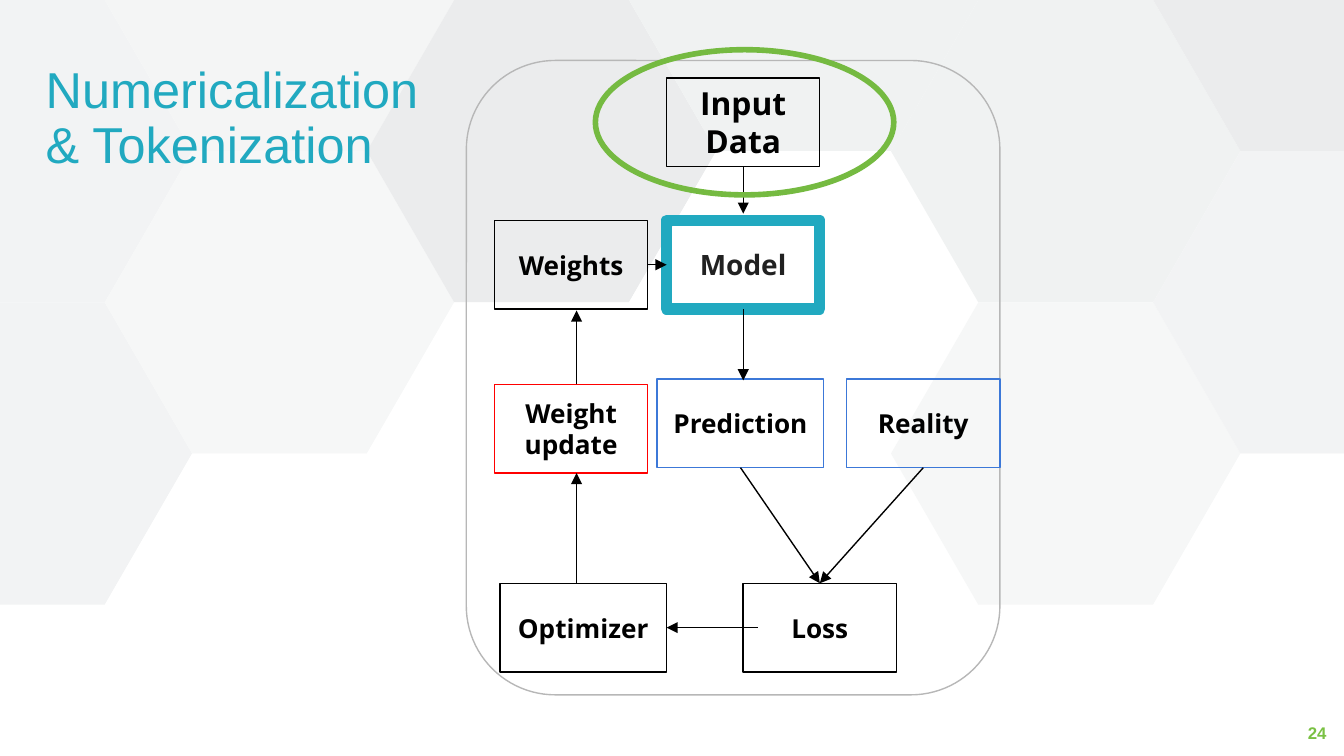
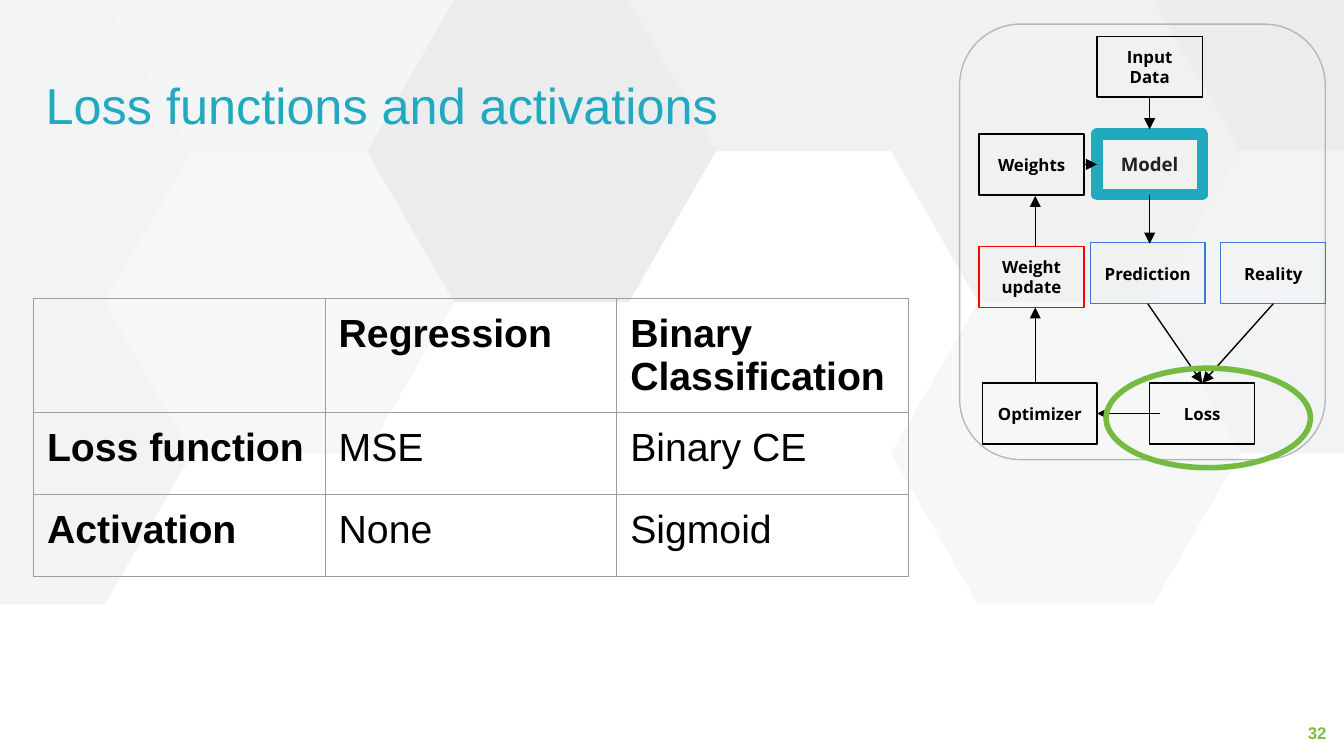
from lxml import etree
from pptx import Presentation
from pptx.dml.color import RGBColor
from pptx.enum import shapes, text
from pptx.oxml import ns
from pptx.util import Pt

PX = 9144  # EMU in one px, 100 px to the inch
SLIDE_W = 1000
SLIDE_H = SLIDE_W * 9 / 16

TEAL = RGBColor(0x21, 0xA9, 0xC0)
GREEN = RGBColor(0x7A, 0xC1, 0x43)
RING_GREEN = RGBColor(0x75, 0xBA, 0x41)
BLACK = RGBColor(0, 0, 0)
CHARCOAL = RGBColor(0x21, 0x21, 0x21)
BLUE = RGBColor(0x3C, 0x78, 0xD8)
RED = RGBColor(0xFF, 0, 0)
FRAME_GRAY = RGBColor(0xB7, 0xB7, 0xB7)
GRID_GRAY = RGBColor(0x9E, 0x9E, 0x9E)
WHITE = RGBColor(0xFF, 0xFF, 0xFF)
MIST = RGBColor(0xF2, 0xF3, 0xF4)
PALE = RGBColor(0xF6, 0xF7, 0xF7)
HAZE = RGBColor(0xF4, 0xF5, 0xF5)
ASH = RGBColor(0xEB, 0xEC, 0xED)
SAGE = RGBColor(0xF0, 0xF2, 0xF2)

# Honeycomb colours, one row for each column of hexagons, top to bottom
HONEYCOMB = [
    (MIST, MIST, WHITE),
    (HAZE, PALE, WHITE),
    (ASH, WHITE, WHITE),
    (SAGE, WHITE, WHITE),
    (SAGE, PALE, WHITE),
    (ASH, MIST, WHITE),
]

# Training loop, measured in a frame 472 px high
LOOP_H = 472
STEP_H = 66
STEPS = {  # name: left, top, width, outline
    "Input Data": (149, 13, 114, BLACK),
    "Model": (149, 119, 114, TEAL),
    "Weights": (21, 119, 114, BLACK),
    "Prediction": (142, 237, 124, BLUE),
    "Reality": (283, 237, 114, BLUE),
    "Loss": (206, 389, 114, BLACK),
    "Optimizer": (25, 389, 124, BLACK),
    "Weight update": (21, 241, 114, RED),
}
TOP, LEFT, BOTTOM, RIGHT = range(4)
FLOWS = [  # each end is a joined (step, side) or a free (x, y)
    (("Input Data", BOTTOM), (206, 114)),
    (("Weights", RIGHT), ("Model", LEFT)),
    (("Model", BOTTOM), (206, 238)),
    (("Prediction", BOTTOM), ("Loss", TOP)),
    (("Reality", BOTTOM), ("Loss", TOP)),
    ((217, 422), ("Optimizer", RIGHT)),
    ((82, 389), (82, 307)),
    ((82, 241), (82, 186)),
]

LOSS_TABLE = [
    ("", "Regression", "Binary\nClassification"),
    ("Loss function", "MSE", "Binary CE"),
    ("Activation", "None", "Sigmoid"),
]


def emu(*lengths):
    return [round(length * PX) for length in lengths]


def set_text(frame, content, size, color, font="Arial", bold=False, inset=0,
             align=text.PP_ALIGN.LEFT, anchor=text.MSO_ANCHOR.MIDDLE, spacing=None):
    frame.text = content
    frame_format = {
        "word_wrap": True,
        "auto_size": text.MSO_AUTO_SIZE.NONE,
        "vertical_anchor": anchor,
    }
    for side in ("left", "top", "right", "bottom"):
        frame_format["margin_" + side] = inset * PX
    for name, value in frame_format.items():
        setattr(frame, name, value)
    set_paragraphs(frame, size, color, font, bold, align, spacing)


def set_paragraphs(frame, size, color, font, bold, align, spacing=None):
    for paragraph in frame.paragraphs:
        paragraph.alignment = align
        if spacing:
            paragraph.line_spacing = spacing
            paragraph.space_before = Pt(0)
        for run in paragraph.runs:
            for name, value in {"name": font, "size": Pt(size), "bold": bold}.items():
                setattr(run.font, name, value)
            run.font.color.rgb = color


def add_outline(slide, preset, box, color, weight=0.75):
    outline = slide.shapes.add_shape(preset, *emu(*box))
    outline.shadow.inherit = False
    outline.fill.background()
    outline.line.color.rgb = color
    outline.line.width = Pt(weight)
    return outline


# Honeycomb behind every slide, kept on the master
def add_honeycomb(prs, slide):
    behind = prs.slide_master.shapes._spTree
    half_h = SLIDE_H / 5
    corners = [(-65, -1), (65, -1), (130, 0), (65, 1), (-65, 1), (-130, 0)]
    place = 2
    for column, colors in enumerate(HONEYCOMB):
        center = 13 + 195 * column
        for row, color in enumerate(colors):
            level = 2 * row + 1 - column % 2  # in half hexagon heights
            points = [
                emu(min(max(center + dx, 0), SLIDE_W),
                    min(max(level + dy, 0) * half_h, SLIDE_H))
                for dx, dy in corners
            ]
            builder = slide.shapes.build_freeform(*points[0])
            builder.add_line_segments(points[1:], close=True)
            cell = builder.convert_to_shape()
            cell.shadow.inherit = False
            cell.fill.solid()
            cell.fill.fore_color.rgb = color
            cell.line.fill.background()
            behind.insert(place, cell._element)
            place += 1


# Title and page number
def add_titled_slide(prs, heading, box, number):
    slide = prs.slides.add_slide(prs.slide_layouts[5])
    title = slide.shapes.title
    title.left, title.top, title.width, title.height = emu(*box)
    set_text(title.text_frame, heading, 27, TEAL, spacing=0.9)
    page = slide.shapes.add_textbox(*emu(927, 510, 60, 43))
    set_text(page.text_frame, number, 9, GREEN, bold=True,
             align=text.PP_ALIGN.RIGHT, anchor=text.MSO_ANCHOR.BOTTOM)
    return slide


def add_arrow(slide, start, end):
    arrow = slide.shapes.add_connector(shapes.MSO_CONNECTOR.STRAIGHT, *emu(*start, *end))
    arrow.line.color.rgb = BLACK
    arrow.line.width = Pt(0.75)
    etree.SubElement(arrow.line._get_or_add_ln(), ns.qn("a:tailEnd"), type="triangle")
    etree.SubElement(arrow._element.spPr, ns.qn("a:effectLst"))
    return arrow


# Training loop; the ring is measured from the frame's corner
def add_training_loop(slide, box, ring, sizes, base_size):
    left, top, _, height = box
    scale = height / LOOP_H

    def locate(x, y):
        return left + x * scale, top + y * scale

    add_outline(slide, shapes.MSO_SHAPE.ROUNDED_RECTANGLE, box, FRAME_GRAY)

    # Steps
    steps = {}
    for name, (x, y, w, color) in STEPS.items():
        is_model = name == "Model"
        step = add_outline(slide, shapes.MSO_SHAPE.RECTANGLE,
                           (*locate(x, y), w * scale, STEP_H * scale),
                           color, 6 if is_model else 0.75)
        set_text(step.text_frame, name, sizes.get(name, base_size),
                 CHARCOAL if is_model else BLACK, "Open Sans", True, 10,
                 text.PP_ALIGN.CENTER)
        steps[name] = step

    # Arrows
    for start, end in FLOWS:
        free_ends = [(0, 0) if point[0] in steps else locate(*point)
                     for point in (start, end)]
        arrow = add_arrow(slide, *free_ends)
        for point, join in ((start, arrow.begin_connect), (end, arrow.end_connect)):
            if point[0] in steps:
                join(steps[point[0]], point[1])

    # Ring round the current step
    x, y, w, h = ring
    add_outline(slide, shapes.MSO_SHAPE.OVAL, (left + x, top + y, w, h), RING_GREEN, 3)


def set_borders(cell):
    properties = cell._tc.get_or_add_tcPr()
    for side in ("a:lnL", "a:lnR", "a:lnT", "a:lnB"):
        line = etree.SubElement(properties, ns.qn(side), w=str(Pt(0.75)))
        fill = etree.SubElement(line, ns.qn("a:solidFill"))
        etree.SubElement(fill, ns.qn("a:srgbClr"), val=str(GRID_GRAY))


# Loss and activation for each task
def add_loss_table(slide, left, top, column_w, row_h):
    count = len(LOSS_TABLE)
    table = slide.shapes.add_table(
        count, count, *emu(left, top, column_w * count, row_h * count)).table
    table.first_row = table.horz_banding = False
    for track in table.columns:
        track.width = column_w * PX
    for r, entries in enumerate(LOSS_TABLE):
        table.rows[r].height = row_h * PX
        for c, entry in enumerate(entries):
            cell = table.cell(r, c)
            cell.text = entry
            for side in ("left", "top", "right", "bottom"):
                setattr(cell, "margin_" + side, 10 * PX)
            set_paragraphs(cell.text_frame, 21, BLACK, "Arial", r == 0 or c == 0,
                           text.PP_ALIGN.LEFT)
            set_borders(cell)
            cell.fill.background()


def main():
    prs = Presentation()
    prs.slide_width, prs.slide_height = emu(SLIDE_W, SLIDE_H)

    tokens = add_titled_slide(prs, "Numericalization\n& Tokenization",
                              (34, 19, 330, 140), "24")
    add_honeycomb(prs, tokens)
    add_training_loop(tokens, (347, 45, 397, 472), (96, -8, 222, 108),
                      {"Input Data": 17, "Model": 15}, 14)

    losses = add_titled_slide(prs, "Loss functions and activations",
                              (34, 49, 932, 63), "32")
    add_loss_table(losses, 25, 222, 217, 61)
    add_training_loop(losses, (714, 18, 272, 324), (109, 256, 152, 74),
                      {"Model": 10}, 9)

    prs.save("out.pptx")


if __name__ == "__main__":
    main()
